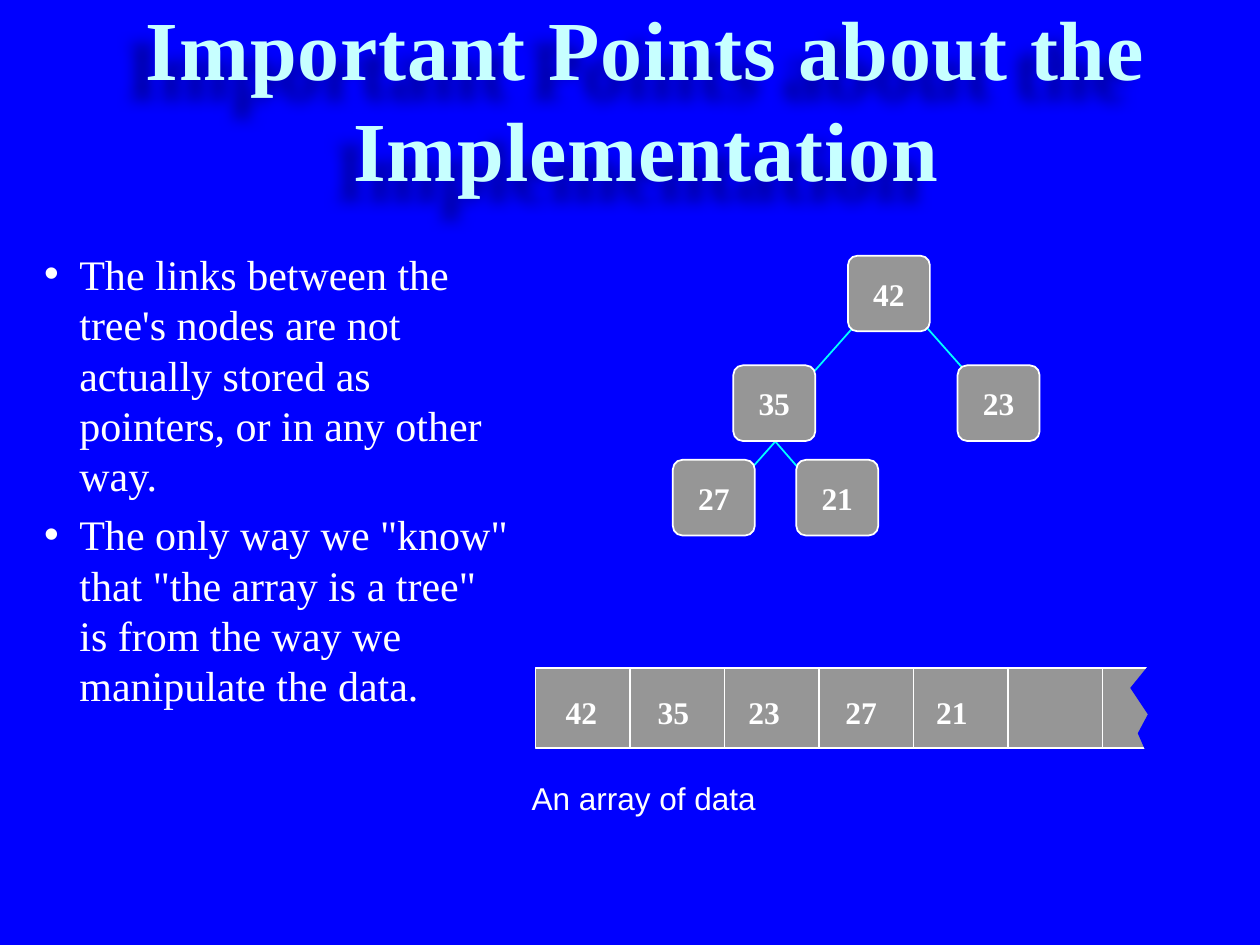
from lxml.etree import SubElement
from pptx import Presentation
from pptx.dml.color import RGBColor
from pptx.enum.shapes import MSO_CONNECTOR as Connector, MSO_SHAPE as Shape
from pptx.enum.text import MSO_ANCHOR as Anchor, MSO_AUTO_SIZE as AutoSize, PP_ALIGN as Align
from pptx.oxml.ns import qn
from pptx.util import Inches, Pt

BLUE = RGBColor(0x00, 0x00, 0xFF)
PALE_CYAN = RGBColor(0xC7, 0xFF, 0xFF)
CYAN = RGBColor(0x00, 0xFF, 0xFF)
GRAY = RGBColor(0x96, 0x96, 0x96)
WHITE = RGBColor(0xFF, 0xFF, 0xFF)
SERIF, SANS = "Times New Roman", "Arial"

TITLE = "Important Points about the Implementation"
POINTS = [
    "The links between the tree's nodes are not actually stored as pointers, or in any other way.",
    "The only way we \"know\" that \"the array is a tree\" is from the way we manipulate the data.",
]

# Tree nodes: label, left, top
NODE_WIDTH, NODE_HEIGHT = 0.65, 0.6
NODES = [("21", 6.32, 3.65), ("27", 5.34, 3.65), ("23", 7.6, 2.9),
         ("42", 6.73, 2.03), ("35", 5.82, 2.9)]
EDGES = [(6.02, 3.35, 6.48, 3.88), (6.29, 3.35, 5.82, 3.88),
         (7.32, 2.56, 7.79, 3.09), (6.77, 2.6, 6.31, 3.12)]

# Array: cells of equal width, with a torn right end
ARRAY_LEFT, ARRAY_TOP, ARRAY_WIDTH, ARRAY_HEIGHT = 4.25, 5.3, 4.96, 0.64
CELL_WIDTH, DIVIDERS = 0.75, 6
ARRAY_LABELS = [("42", 4.42), ("35", 5.15), ("23", 5.87), ("27", 6.64), ("21", 7.36)]
TORN_EDGE = [(9.44, 4.88), (8.97, 5.46), (9.11, 5.67), (9.03, 5.82), (9.24, 6.3), (9.78, 6.13)]


def place(shape, left, top, width, height):
    shape.left, shape.top = Inches(left), Inches(top)
    shape.width, shape.height = Inches(width), Inches(height)


def format_frame(frame, anchor=Anchor.TOP, wrap=True, auto_size=AutoSize.NONE):
    frame.margin_left = frame.margin_right = Inches(0.07)
    frame.margin_top = frame.margin_bottom = Inches(0.04)
    frame.vertical_anchor = anchor
    frame.word_wrap = wrap
    frame.auto_size = auto_size


def format_paragraph(paragraph, size, color=WHITE, name=SERIF, bold=False, align=Align.LEFT):
    paragraph.alignment = align
    for run in paragraph.runs:
        font = run.font
        font.size, font.name, font.bold = Pt(size), name, bold
        font.color.rgb = color


def add_soft_shadow(shape):
    effects = SubElement(shape._element.spPr, qn("a:effectLst"))
    shadow = SubElement(effects, qn("a:outerShdw"), blurRad=str(Inches(0.12)),
                        dist=str(Inches(0.22)), dir="8100000", algn="ctr", rotWithShape="0")
    color = SubElement(shadow, qn("a:srgbClr"), val="000000")
    SubElement(color, qn("a:alpha"), val="40000")


def fill_title(title):
    place(title, 0.43, 0.3, 9.4, 0.94)
    title.text_frame.text = TITLE
    format_frame(title.text_frame, Anchor.MIDDLE)
    paragraph = title.text_frame.paragraphs[0]
    format_paragraph(paragraph, 48, PALE_CYAN, bold=True, align=Align.CENTER)
    paragraph.runs[0].font._element.set("spc", "50")
    add_soft_shadow(title)


def fill_body(body):
    place(body, 0.28, 1.93, 3.86, 3.91)
    frame = body.text_frame
    frame.text = "\n".join(POINTS)
    format_frame(frame)
    for index, paragraph in enumerate(frame.paragraphs):
        properties = paragraph._p.get_or_add_pPr()
        properties.set("marL", str(Inches(0.28)))
        properties.set("indent", str(-Inches(0.28)))
        paragraph.space_before = Pt(4.8 if index else 0)
        SubElement(properties, qn("a:buChar"), char="•")
        format_paragraph(paragraph, 24)


def add_box(slide, kind, left, top, width, height):
    shape = slide.shapes.add_shape(kind, Inches(left), Inches(top), Inches(width), Inches(height))
    shape.shadow.inherit = False
    shape.fill.solid()
    shape.fill.fore_color.rgb = GRAY
    shape.line.color.rgb = WHITE
    shape.line.width = Pt(1)
    return shape


def add_node(slide, label, left, top):
    node = add_box(slide, Shape.ROUNDED_RECTANGLE, left, top, NODE_WIDTH, NODE_HEIGHT)
    node.adjustments[0] = 0.125
    node.text_frame.text = label
    format_frame(node.text_frame, Anchor.MIDDLE, wrap=False)
    format_paragraph(node.text_frame.paragraphs[0], 18, bold=True, align=Align.CENTER)


def add_line(slide, start_x, start_y, end_x, end_y, color):
    line = slide.shapes.add_connector(Connector.STRAIGHT, Inches(start_x), Inches(start_y),
                                      Inches(end_x), Inches(end_y))
    line.line.color.rgb = color
    line.line.width = Pt(1)
    SubElement(line._element.spPr, qn("a:effectLst"))


def add_label(slide, text, left, top, width, name=SERIF, bold=True):
    box = slide.shapes.add_textbox(Inches(left), Inches(top), Inches(width), Inches(0.38))
    box.text_frame.text = text
    format_frame(box.text_frame, wrap=False, auto_size=AutoSize.SHAPE_TO_FIT_TEXT)
    format_paragraph(box.text_frame.paragraphs[0], 18, name=name, bold=bold)


def add_torn_edge(slide):
    points = [(Inches(x), Inches(y)) for x, y in TORN_EDGE]
    builder = slide.shapes.build_freeform(*points[0])
    builder.add_line_segments(points[1:], close=True)
    shape = builder.convert_to_shape()
    shape.shadow.inherit = False
    shape.fill.solid()
    shape.fill.fore_color.rgb = BLUE
    shape.line.fill.background()


def add_array(slide):
    add_box(slide, Shape.RECTANGLE, ARRAY_LEFT, ARRAY_TOP, ARRAY_WIDTH, ARRAY_HEIGHT)
    for number in range(1, DIVIDERS + 1):
        x = ARRAY_LEFT + number * CELL_WIDTH
        add_line(slide, x, ARRAY_TOP, x, ARRAY_TOP + ARRAY_HEIGHT, WHITE)
    add_torn_edge(slide)
    for label, left in ARRAY_LABELS:
        add_label(slide, label, left, 5.46, 0.4)
    add_label(slide, "An array of data", 4.15, 6.14, 1.95, SANS, bold=False)


def add_tree(slide):
    for edge in EDGES:
        add_line(slide, *edge, CYAN)
    for node in NODES:
        add_node(slide, *node)


def main():
    presentation = Presentation()
    presentation.slide_width, presentation.slide_height = Inches(10), Inches(7.5)
    slide = presentation.slides.add_slide(presentation.slide_layouts[1])
    slide.background.fill.solid()
    slide.background.fill.fore_color.rgb = BLUE

    fill_title(slide.shapes.title)
    fill_body(slide.placeholders[1])
    add_array(slide)
    add_tree(slide)
    presentation.save("out.pptx")


if __name__ == "__main__":
    main()
